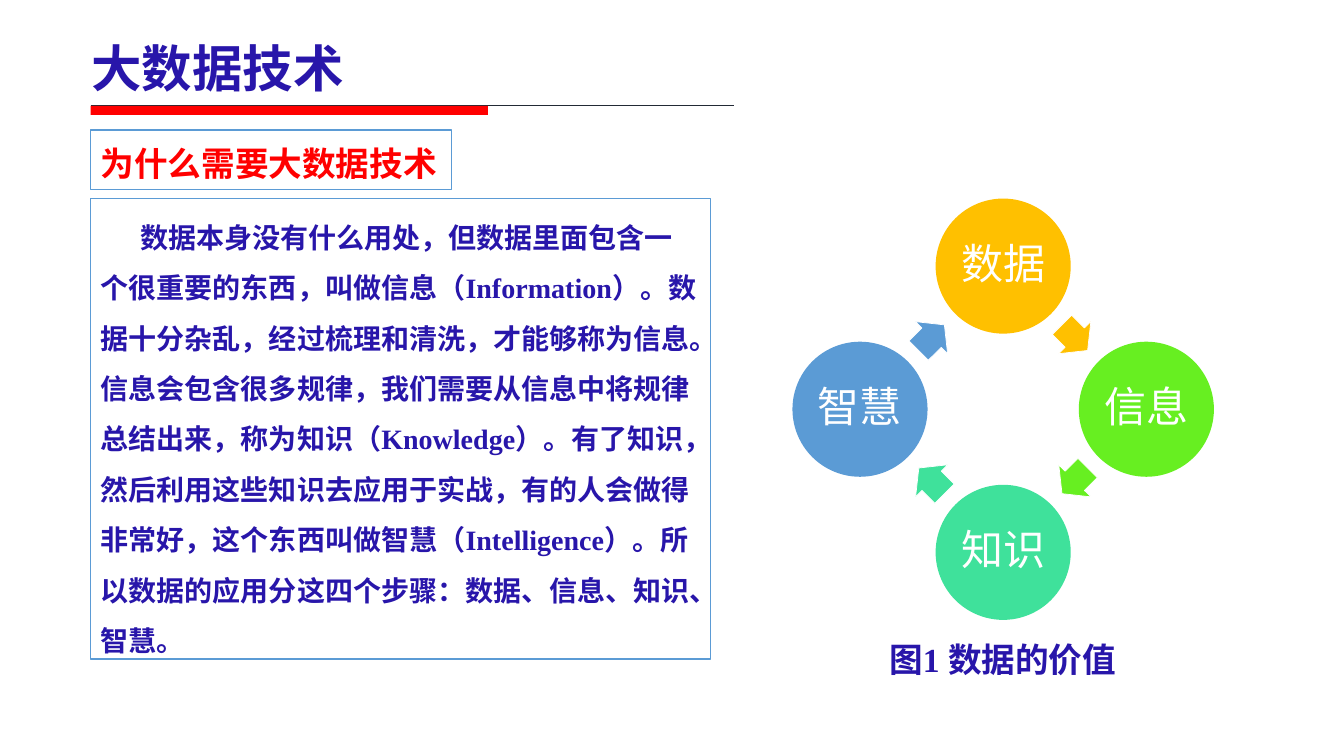
"""Build the slide on why big data technology is needed."""
import math

import lxml.etree
import pptx
import pptx.dml.color
import pptx.enum.shapes
import pptx.enum.text
import pptx.oxml.ns
import pptx.util

TITLE = "大数据技术"
SUBTITLE = "为什么需要大数据技术"
BODY = (
    "数据本身没有什么用处，但数据里面包含一个很重要的东西，叫做信息（Information）。"
    "数据十分杂乱，经过梳理和清洗，才能够称为信息。信息会包含很多规律，"
    "我们需要从信息中将规律总结出来，称为知识（Knowledge）。有了知识，"
    "然后利用这些知识去应用于实战，有的人会做得非常好，"
    "这个东西叫做智慧（Intelligence）。所以数据的应用分这四个步骤：数据、信息、知识、智慧。"
)
CAPTION = "图1 数据的价值"
CYCLE = [("数据", "FFC000"), ("信息", "67EF21"), ("知识", "3FE19B"), ("智慧", "5B9BD5")]

THEME = {
    "latin": "Times New Roman", "chinese": "Noto Sans CJK SC",
    "navy": "2816AA", "red": "FF0000", "blue": "5B9BD5", "white": "FFFFFF", "rule": "222A35",
    "title": 36, "heading": 24, "body": 20, "circle": 30,
}

CYCLE_CENTER = (9.95, 4.06)
CYCLE_RADIUS = 1.42
CIRCLE_SIZE = 1.34
ARROW_WIDTH, ARROW_HEIGHT = 0.36, 0.45

Inches = pptx.util.Inches
ALIGN = pptx.enum.text.PP_ALIGN
ANCHOR = pptx.enum.text.MSO_ANCHOR
SHAPE = pptx.enum.shapes.MSO_SHAPE


def color(value):
    return pptx.dml.color.RGBColor.from_string(value)


def write(shape, text, size, ink, latin=THEME["latin"], bold=True,
          align=ALIGN.LEFT, anchor=ANCHOR.TOP, spacing=1.0):
    frame = shape.text_frame
    frame.word_wrap = True
    frame.vertical_anchor = anchor
    paragraph = frame.paragraphs[0]
    paragraph.text = text
    paragraph.alignment = align
    paragraph.line_spacing = spacing
    font = paragraph.font
    font.name, font.size, font.bold = latin, pptx.util.Pt(size), bold
    font.color.rgb = color(ink)
    latin_element = paragraph._p.pPr.find(pptx.oxml.ns.qn("a:defRPr")).find(pptx.oxml.ns.qn("a:latin"))
    east_asian = lxml.etree.Element(pptx.oxml.ns.qn("a:ea"), typeface=THEME["chinese"])
    latin_element.addnext(east_asian)
    return paragraph


def add_text(slide, box, text, size, ink, border=None, **style):
    shape = slide.shapes.add_textbox(*map(Inches, box))
    if border:
        shape.fill.solid()
        shape.fill.fore_color.rgb = color(THEME["white"])
        shape.line.color.rgb = color(border)
        shape.line.width = pptx.util.Pt(1)
    return write(shape, text, size, ink, **style)


def add_filled(slide, kind, center, width, height, fill):
    left, top = center[0] - width / 2, center[1] - height / 2
    shape = slide.shapes.add_shape(kind, *map(Inches, (left, top, width, height)))
    shape.shadow.inherit = False
    shape.fill.solid()
    shape.fill.fore_color.rgb = color(fill)
    shape.line.fill.background()
    return shape


def cycle_point(degrees, radius):
    angle = math.radians(degrees)
    return (CYCLE_CENTER[0] + radius * math.sin(angle),
            CYCLE_CENTER[1] - radius * math.cos(angle))


def add_title_rule(slide):
    line = slide.shapes.add_connector(
        pptx.enum.shapes.MSO_CONNECTOR.STRAIGHT, *map(Inches, (0.9, 1.05, 7.28, 1.05)))
    line.line.color.rgb = color(THEME["rule"])
    line.line.width = pptx.util.Pt(0.75)
    lxml.etree.SubElement(line._element.spPr, pptx.oxml.ns.qn("a:effectLst"))
    add_filled(slide, SHAPE.RECTANGLE, (2.87, 1.095), 3.94, 0.09, THEME["red"])


def add_cycle(slide):
    step = 360 / len(CYCLE)
    arrow_radius = CYCLE_RADIUS * math.cos(math.radians(step / 2))
    for index, (label, fill) in enumerate(CYCLE):
        angle = index * step
        circle = add_filled(slide, SHAPE.OVAL, cycle_point(angle, CYCLE_RADIUS),
                            CIRCLE_SIZE, CIRCLE_SIZE, fill)
        frame = circle.text_frame
        frame.margin_left = frame.margin_right = Inches(0.04)
        frame.margin_top = frame.margin_bottom = Inches(0.04)
        write(circle, label, THEME["circle"], THEME["white"], latin=THEME["chinese"],
              bold=False, align=ALIGN.CENTER, anchor=ANCHOR.MIDDLE, spacing=0.9)
        arrow = add_filled(slide, SHAPE.RIGHT_ARROW, cycle_point(angle + step / 2, arrow_radius),
                           ARROW_WIDTH, ARROW_HEIGHT, fill)
        arrow.adjustments[0], arrow.adjustments[1] = 0.6, 0.5
        arrow.rotation = angle + step / 2
        arrow.line.color.rgb = color(THEME["white"])
        arrow.line.width = pptx.util.Pt(0.5)


def main():
    presentation = pptx.Presentation()
    presentation.slide_width, presentation.slide_height = Inches(13.33), Inches(7.5)
    slide = presentation.slides.add_slide(presentation.slide_layouts[6])
    add_text(slide, (0.9, 1.29, 3.58, 0.59), SUBTITLE, THEME["heading"], THEME["red"],
             border=THEME["blue"], spacing=1.2)
    add_title_rule(slide)
    add_text(slide, (0.81, 0.32, 6.75, 0.64), TITLE, THEME["title"], THEME["navy"],
             latin=THEME["chinese"], anchor=ANCHOR.MIDDLE, spacing=1.1)
    body = add_text(slide, (0.9, 1.97, 6.15, 4.57), BODY, THEME["body"], THEME["navy"],
                    border=THEME["blue"], spacing=1.5)
    body._p.get_or_add_pPr().set("indent", str(Inches(0.39)))
    add_cycle(slide)
    add_text(slide, (8.51, 6.29, 2.87, 0.5), CAPTION, THEME["heading"], THEME["navy"],
             align=ALIGN.CENTER)
    presentation.save("out.pptx")


if __name__ == "__main__":
    main()
